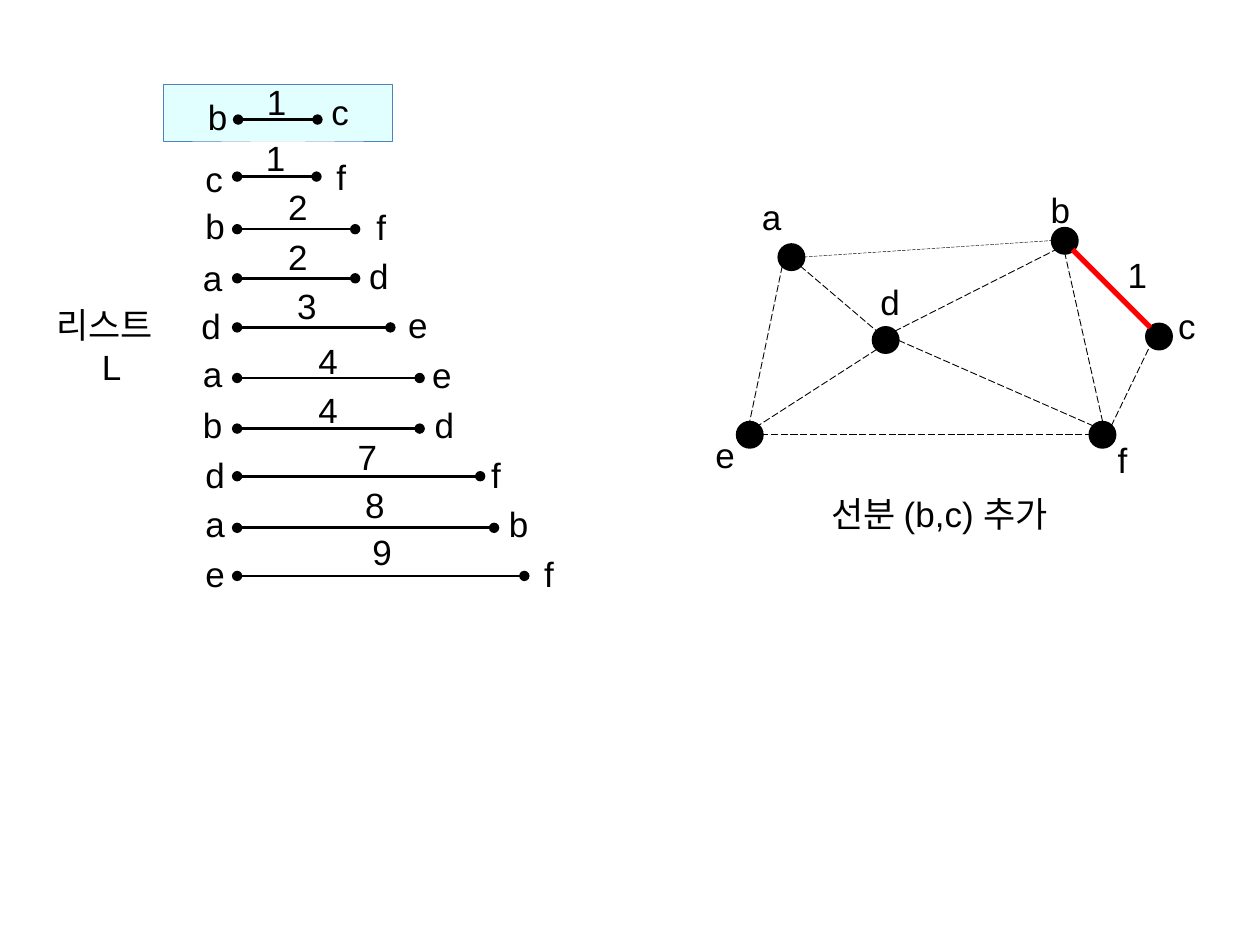
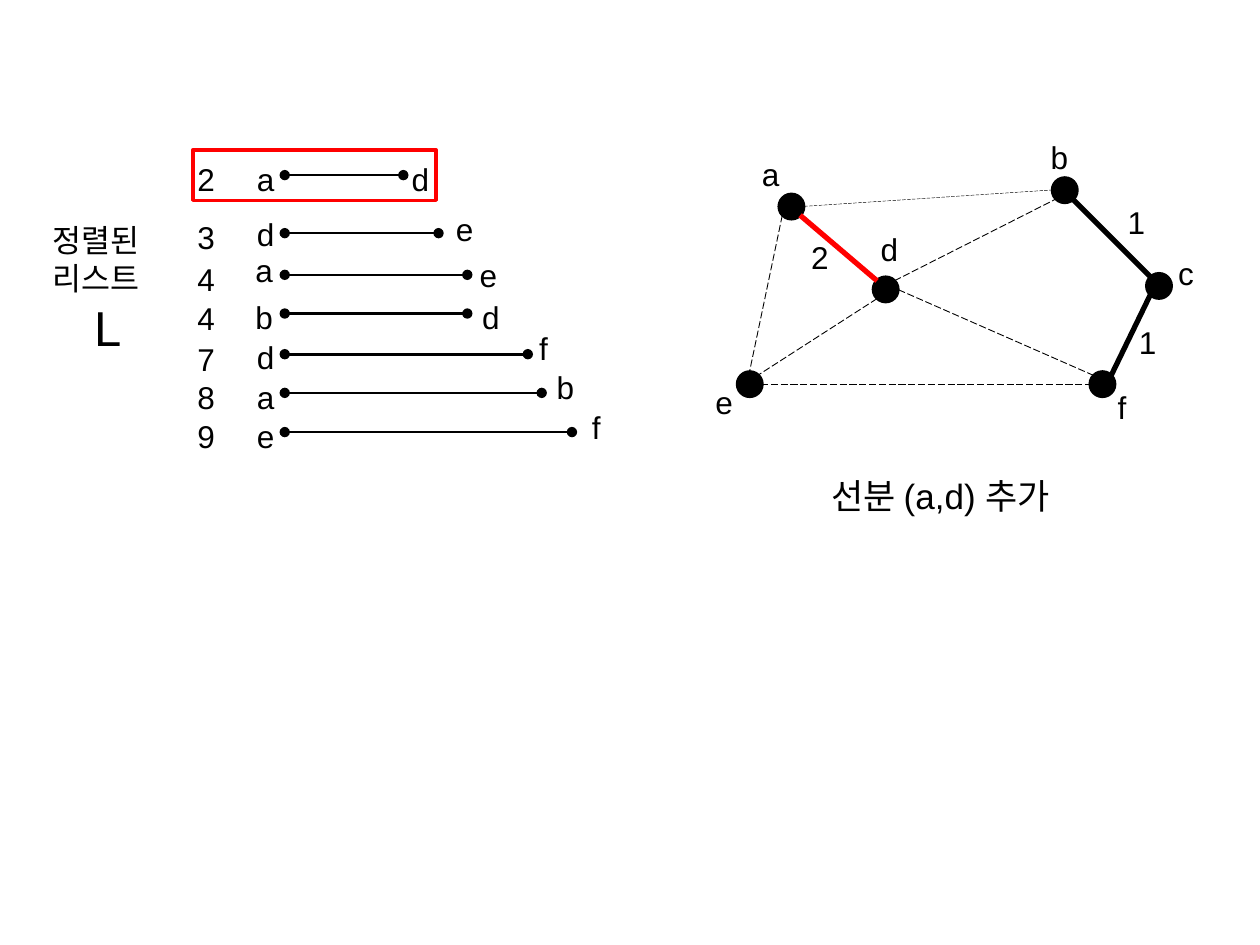
from dataclasses import dataclass

from lxml import etree
from pptx import Presentation
from pptx.dml.color import RGBColor
from pptx.enum.dml import MSO_LINE
from pptx.enum.shapes import MSO_CONNECTOR, MSO_SHAPE
from pptx.enum.text import MSO_AUTO_SIZE, PP_ALIGN
from pptx.oxml.ns import qn
from pptx.util import Cm, Pt

STRAIGHT = MSO_CONNECTOR.STRAIGHT
RECTANGLE = MSO_SHAPE.RECTANGLE
OVAL = MSO_SHAPE.OVAL
LONG_DASH = MSO_LINE.LONG_DASH
FIT_SHAPE = MSO_AUTO_SIZE.SHAPE_TO_FIT_TEXT
CENTER = PP_ALIGN.CENTER


@dataclass(frozen=True)
class Theme:
    font: str = "Arial"
    ink: RGBColor = RGBColor(0x00, 0x00, 0x00)
    accent: RGBColor = RGBColor(0xFF, 0x00, 0x00)
    pale: RGBColor = RGBColor(0xE1, 0xFF, 0xFF)
    frame: RGBColor = RGBColor(0x4F, 0x81, 0xBD)
    large: int = 28
    normal: int = 20
    small: int = 18
    thick: float = 3
    medium: float = 1.5
    thin: float = 0.5
    hairline: float = 0.25


THEME = Theme()

# All positions are in centimetres.
NODE_SIZE = 0.51
LETTER_WIDTHS = {"c": 0.86, "f": 0.74}
LETTER_WIDTH = 0.92

# Node: left and top of the dot, left and top of its letter
NODES = {
    "a": (15.70, 4.93, 15.11, 3.81),
    "b": (21.21, 4.60, 20.93, 3.68),
    "d": (17.60, 6.60, 17.50, 5.54),
    "e": (14.86, 8.51, 14.17, 8.61),
    "c": (23.11, 6.53, 23.50, 6.02),
    "f": (21.97, 8.51, 22.28, 8.71),
}
EDGES = {
    "ad": (16.13, 5.36, 17.68, 6.68),
    "de": (17.68, 7.04, 15.27, 8.59),
    "ae": (15.77, 5.36, 15.11, 8.51),
    "df": (18.11, 6.86, 22.05, 8.59),
    "ef": (15.34, 8.76, 21.97, 8.76),
    "ab": (16.21, 5.18, 21.21, 4.85),
    "bd": (18.03, 6.68, 21.29, 5.03),
    "bc": (23.19, 6.60, 21.62, 5.03),
    "cf": (22.40, 8.59, 23.19, 6.96),
    "bf": (21.46, 5.08, 22.23, 8.51),
}
EDGE_WEIGHTS = {
    "bc": ("1", 22.48, 4.98),
    "cf": ("1", 22.71, 7.40),
    "ad": ("2", 16.10, 5.69),
}

# Row: start, end and weight; line start, line end and height;
# then left and top of the start letter, end letter and weight
FULL_LIST = [
    ("bc1", 4.80, 6.40, 2.41, (3.94, 1.80), (6.43, 1.70), (5.13, 1.50)),
    ("cf1", 4.78, 6.38, 3.56, (3.89, 3.05), (6.53, 3.02), (5.11, 2.62)),
    ("bf2", 4.78, 7.16, 4.62, (3.89, 3.99), (7.34, 4.01), (5.56, 3.61)),
    ("ad2", 4.78, 7.16, 5.61, (3.84, 5.05), (7.19, 5.00), (5.56, 4.62)),
    ("de3", 4.78, 7.87, 6.60, (3.81, 6.02), (7.98, 5.99), (5.74, 5.61)),
    ("ae4", 4.78, 8.46, 7.62, (3.84, 6.99), (8.46, 7.01), (6.17, 6.71)),
    ("bd4", 4.78, 8.46, 8.64, (3.84, 8.00), (8.51, 8.00), (6.17, 7.70)),
    ("df7", 4.78, 9.68, 9.60, (3.89, 9.02), (9.65, 9.02), (6.96, 8.66)),
    ("ab8", 4.78, 9.96, 10.64, (3.89, 10.01), (10.01, 10.01), (7.11, 9.63)),
    ("ef9", 4.78, 10.57, 11.61, (3.89, 11.02), (10.72, 11.02), (7.26, 10.57)),
]
REMAINING_LIST = [
    (name, 5.74, line_end, height, start_letter, end_letter, (3.73, height - 0.42))
    for name, line_end, height, start_letter, end_letter in [
        ("ad2", 8.13, 3.53, (4.93, 3.10), (8.05, 3.10)),
        ("de3", 8.84, 4.70, (4.93, 4.22), (8.94, 4.11)),
        ("ae4", 9.42, 5.54, (4.90, 4.93), (9.42, 5.03)),
        ("bd4", 9.42, 6.32, (4.90, 5.89), (9.47, 5.89)),
        ("df7", 10.64, 7.14, (4.93, 6.68), (10.62, 6.50)),
        ("ab8", 10.92, 7.92, (4.93, 7.49), (10.97, 7.29)),
        ("ef9", 11.53, 8.71, (4.93, 8.28), (11.68, 8.10)),
    ]
]

STEPS = [
    {
        "size": THEME.normal,
        "rows": FULL_LIST,
        "highlight": (3.30, 1.70, 4.60, 1.14),
        "highlight_style": (THEME.pale, THEME.frame, THEME.hairline),
        "list_name": ("리스트", 0.89, 5.99, 1.96, THEME.normal),
        "graph_shift": 0,
        "a_letter_shift": 0,
        "chosen": [],
        "added": "bc",
        "dropped": [],
        "caption": ("선분 (b,c) 추가", 9.80),
    },
    {
        "size": THEME.small,
        "rows": REMAINING_LIST,
        "highlight": (3.89, 3.02, 4.90, 1.02),
        "highlight_style": (None, THEME.accent, 2),
        "list_name": ("정렬된 리스트", 0.81, 4.34, 3.00, THEME.large),
        "graph_shift": -1.02,
        "a_letter_shift": 0.21,
        "chosen": ["bc", "cf"],
        "added": "ad",
        "dropped": ["bf"],
        "caption": ("선분 (a,d) 추가", 9.45),
    },
]


def add_text(slide, lines, left, top, size, width=None, height=1.12):
    """Add one paragraph per line; without a width, fit a single letter."""
    letter_width = LETTER_WIDTHS.get(lines[0], LETTER_WIDTH) * (size + 10) / 30
    box = slide.shapes.add_textbox(
        Cm(left), Cm(top), Cm(width or letter_width), Cm(height))
    frame = box.text_frame
    frame.word_wrap = width is not None
    frame.auto_size = FIT_SHAPE
    frame.text = "\n".join(lines)
    for paragraph in frame.paragraphs:
        for run in paragraph.runs:
            run.font.name = THEME.font
            run.font.size = Pt(size)
            run.font.color.rgb = THEME.ink
    return frame


def add_line(slide, points, color, weight, dashed=False, dotted_ends=False):
    connector = slide.shapes.add_connector(STRAIGHT, *(Cm(value) for value in points))
    connector.line.color.rgb = color
    connector.line.width = Pt(weight)
    if dashed:
        connector.line.dash_style = LONG_DASH
    if dotted_ends:
        outline = connector.line._get_or_add_ln()
        for end in ("a:headEnd", "a:tailEnd"):
            etree.SubElement(outline, qn(end), type="oval")
    etree.SubElement(connector._element.spPr, qn("a:effectLst"))


presentation = Presentation()
presentation.slide_width = Cm(25.4)
presentation.slide_height = Cm(19.05)
blank_layout = presentation.slide_layouts[6]

for step in STEPS:
    slide = presentation.slides.add_slide(blank_layout)
    size = step["size"]
    shift = step["graph_shift"]

    # Graph
    for letter, (left, top, letter_left, letter_top) in NODES.items():
        node = slide.shapes.add_shape(
            OVAL, Cm(left), Cm(top + shift), Cm(NODE_SIZE), Cm(NODE_SIZE))
        node.shadow.inherit = False
        node.fill.solid()
        node.fill.fore_color.rgb = THEME.ink
        node.line.color.rgb = THEME.ink
        node.line.width = Pt(THEME.medium)
        nudge = step["a_letter_shift"] if letter == "a" else 0
        add_text(slide, [letter], letter_left, letter_top + shift + nudge, size)

    for name, (x1, y1, x2, y2) in EDGES.items():
        if name in step["dropped"]:
            continue
        points = (x1, y1 + shift, x2, y2 + shift)
        if name == step["added"] or name in step["chosen"]:
            color = THEME.accent if name == step["added"] else THEME.ink
            add_line(slide, points, color, THEME.thick)
            weight, left, top = EDGE_WEIGHTS[name]
            add_text(slide, [weight], left, top + shift, size)
        else:
            thickness = THEME.hairline if name == "ab" else THEME.thin
            add_line(slide, points, THEME.ink, thickness, dashed=True)

    caption, top = step["caption"]
    add_text(slide, [caption], 16.51, top, THEME.normal, width=5.33)

    # Sorted list of edges
    highlight = slide.shapes.add_shape(
        RECTANGLE, *(Cm(value) for value in step["highlight"]))
    fill_color, line_color, line_width = step["highlight_style"]
    highlight.shadow.inherit = False
    if fill_color is None:
        highlight.fill.background()
    else:
        highlight.fill.solid()
        highlight.fill.fore_color.rgb = fill_color
    highlight.line.color.rgb = line_color
    highlight.line.width = Pt(line_width)

    for name, line_start, line_end, height, *letter_places in step["rows"]:
        add_line(slide, (line_end, height, line_start, height),
                 THEME.ink, THEME.medium, dotted_ends=True)
        for letter, (left, top) in zip(name, letter_places):
            add_text(slide, [letter], left, top, size)

    list_name, left, top, height, symbol_size = step["list_name"]
    frame = add_text(slide, [list_name, "L"], left, top, size, 2.72, height)
    symbol = frame.paragraphs[1]
    symbol.alignment = CENTER
    symbol.runs[0].font.size = Pt(symbol_size)

presentation.save("out.pptx")
